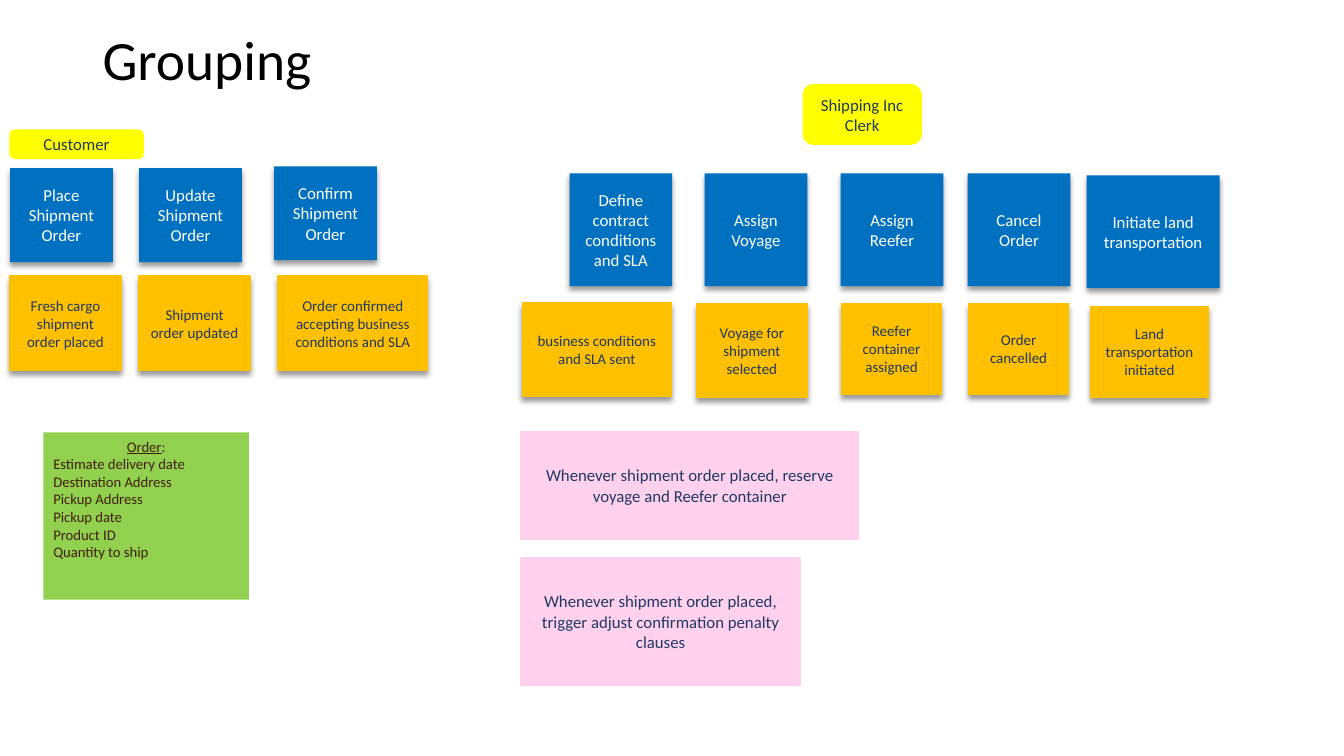
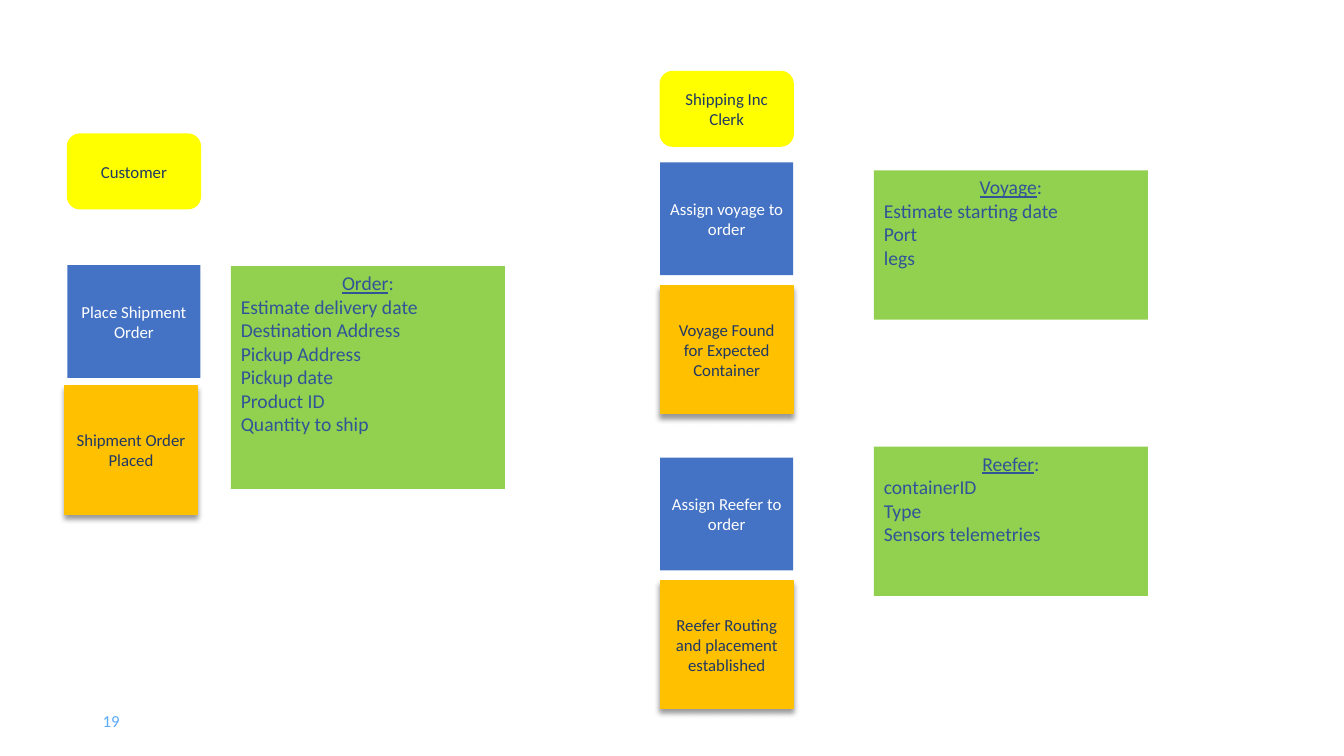
from dataclasses import dataclass

from lxml import etree
from pptx import Presentation
from pptx.dml.color import RGBColor
from pptx.enum.shapes import MSO_SHAPE as Preset
from pptx.enum.text import MSO_ANCHOR as Anchor, PP_ALIGN as Align
from pptx.oxml.ns import qn
from pptx.util import Pt

FONT = "Calibri"
BLACK = RGBColor(0x00, 0x00, 0x00)
WHITE = RGBColor(0xFF, 0xFF, 0xFF)
NAVY = RGBColor(0x20, 0x38, 0x64)
STEEL = RGBColor(0x2F, 0x55, 0x97)
BROWN = RGBColor(0x42, 0x1E, 0x06)
SKY = RGBColor(0x5A, 0xAA, 0xFA)
YELLOW = RGBColor(0xFF, 0xFF, 0x00)
ORANGE = RGBColor(0xFF, 0xC0, 0x00)
BLUE = RGBColor(0x00, 0x70, 0xC0)
INDIGO = RGBColor(0x44, 0x72, 0xC4)
PINK = RGBColor(0xFF, 0xD1, 0xEC)
GREEN = RGBColor(0x92, 0xD0, 0x50)


@dataclass(frozen=True)
class NoteStyle:
    fill: RGBColor
    color: RGBColor = NAVY
    size: float = 12
    outlined: bool = True
    shadowed: bool = False
    preset: int = Preset.RECTANGLE


ACTOR = NoteStyle(YELLOW, preset=Preset.ROUNDED_RECTANGLE)
POLICY = NoteStyle(PINK)
COMMAND = NoteStyle(BLUE, WHITE, outlined=False, shadowed=True)
PLAIN_COMMAND = NoteStyle(INDIGO, WHITE, outlined=False)
EVENT = NoteStyle(ORANGE, shadowed=True)
SMALL_EVENT = NoteStyle(ORANGE, size=10.7, shadowed=True)
ENTITY = NoteStyle(GREEN, STEEL, 14, outlined=False)
SMALL_ENTITY = NoteStyle(GREEN, BROWN, 10.5, outlined=False)

ORDER = ("Order", "Estimate delivery date", "Destination Address",
         "Pickup Address", "Pickup date", "Product ID", "Quantity to ship")
VOYAGE = ("Voyage", "Estimate starting date", "Port", "legs")
REEFER = ("Reefer", "containerID", "Type", "Sensors telemetries")


def add_run(paragraph, text, size, color, underline=None):
    run = paragraph.add_run()
    run.text = text
    run.font.name = FONT
    run.font.size = Pt(size)
    run.font.color.rgb = color
    run.font.underline = underline


def paragraphs(frame, count):
    """Yield the first paragraph of the frame, then new ones up to count."""
    yield frame.paragraphs[0]
    for _ in range(count - 1):
        yield frame.add_paragraph()


def add_text(slide, box, text, size, color, line_spacing=None):
    frame = slide.shapes.add_textbox(*map(Pt, box)).text_frame
    frame.word_wrap = True
    frame.vertical_anchor = Anchor.MIDDLE
    paragraph = frame.paragraphs[0]
    paragraph.line_spacing = line_spacing
    add_run(paragraph, text, size, color)


def drop_shadow(shape):
    effects = shape._element.spPr.find(qn("a:effectLst"))
    shadow = etree.SubElement(effects, qn("a:outerShdw"), blurRad=str(Pt(4)),
                              dist=str(Pt(3)), dir="5400000", rotWithShape="0")
    color = etree.SubElement(shadow, qn("a:srgbClr"), val=str(BLACK))
    etree.SubElement(color, qn("a:alpha"), val="40000")


def add_card(slide, box, style):
    """Add an empty sticky note and return its text frame."""
    shape = slide.shapes.add_shape(style.preset, *map(Pt, box))
    shape.fill.solid()
    shape.fill.fore_color.rgb = style.fill
    if style.outlined:
        shape.line.color.rgb = style.fill
        shape.line.width = Pt(1)
    else:
        shape.line.fill.background()
    shape.shadow.inherit = False
    if style.shadowed:
        drop_shadow(shape)
    shape.text_frame.word_wrap = True
    return shape.text_frame


def add_note(slide, box, text, style):
    frame = add_card(slide, box, style)
    frame.vertical_anchor = Anchor.MIDDLE
    lines = text.split("\n")
    for paragraph, line in zip(paragraphs(frame, len(lines)), lines):
        paragraph.alignment = Align.CENTER
        add_run(paragraph, line, style.size, style.color)


def add_entity(slide, box, entity, style):
    name, *fields = entity
    frame = add_card(slide, box, style)
    frame.vertical_anchor = Anchor.TOP
    heading, *rows = paragraphs(frame, len(entity))
    heading.alignment = Align.CENTER
    add_run(heading, name, style.size, style.color, underline=True)
    add_run(heading, ":", style.size, style.color)
    for paragraph, field in zip(rows, fields):
        paragraph.alignment = Align.LEFT
        add_run(paragraph, field, style.size, style.color)


def add_lane(slide, left, top, notes):
    """Place (x, y, width, height, text, style) notes relative to a corner."""
    for x, y, width, height, text, style in notes:
        add_note(slide, (left + x, top + y, width, height), text, style)


def add_step(slide, left, top, command, event, event_offset, entity, entity_box):
    """Add a command, its event below and its entity to the right."""
    event_x, event_y = event_offset
    x, y, width, height = entity_box
    add_note(slide, (left, top, 95, 80.6), command, PLAIN_COMMAND)
    add_note(slide, (left + event_x, top + event_y, 95, 91.4), event, EVENT)
    add_entity(slide, (left + x, top + y, width, height), entity, ENTITY)


def build_grouping(slide):
    add_text(slide, (66.2, 28.8, 828, 31.7), "Grouping", 39.6, BLACK, 0.9)
    add_lane(slide, 7.2, 92.9, (
        (0, 0, 95, 20.2, "Customer", ACTOR),
        (0, 27.3, 73.4, 67, "Place Shipment Order", COMMAND),
        (92.2, 27.3, 73.4, 67, "Update Shipment Order", COMMAND),
        (188.6, 25.9, 73.4, 67, "Confirm Shipment Order", COMMAND),
        (0, 104.4, 79.2, 67, "Fresh cargo shipment order placed", SMALL_EVENT),
        (92.2, 104.4, 79.2, 67, "Shipment order updated", SMALL_EVENT),
        (191.5, 104.4, 106.6, 67,
         "Order confirmed accepting business conditions and SLA", SMALL_EVENT),
    ))
    add_lane(slide, 372.6, 60.5, (
        (201.2, 0, 84.2, 42.5, "Shipping Inc Clerk", ACTOR),
        (34.2, 63.3, 73.4, 80.6, "Define contract conditions and SLA", COMMAND),
        (130.7, 63.3, 73.4, 80.6, "Assign\nVoyage", COMMAND),
        (227.9, 63.3, 73.4, 80.6, "Assign\nReefer", COMMAND),
        (318.6, 63.3, 73.4, 80.6, "Cancel\nOrder", COMMAND),
        (403.6, 64.8, 95, 80.6, "Initiate land transportation", COMMAND),
        (0.4, 155.5, 106.6, 67, "business conditions and SLA sent", SMALL_EVENT),
        (124.9, 156.2, 79.2, 67, "Voyage for shipment\nselected", SMALL_EVENT),
        (228.6, 156.2, 71.3, 64.8, "Reefer container assigned", SMALL_EVENT),
        (319.3, 156.2, 71.3, 64.8, "Order cancelled", SMALL_EVENT),
        (406.4, 158.4, 84.2, 64.8, "Land transportation initiated", SMALL_EVENT),
    ))
    add_lane(slide, 372.2, 308.2, (
        (0, 0, 241.2, 77,
         "Whenever shipment order placed, reserve voyage and Reefer container",
         POLICY),
        (0, 90, 199.4, 91.4,
         "Whenever shipment order placed, trigger adjust confirmation "
         "penalty clauses", POLICY),
    ))
    add_entity(slide, (31, 308.9, 146.9, 119.5), ORDER, SMALL_ENTITY)


def build_aggregates(slide):
    add_text(slide, (66.2, 500.4, 216, 28.8), "19", 12, SKY)
    add_note(slide, (48.2, 95.8, 95, 53.3), "Customer", ACTOR)
    add_step(slide, 48.2, 189.4, "Place Shipment Order",
             "Shipment Order Placed", (-2.1, 86.4),
             ORDER, (116.7, 0.7, 195.8, 159.1))
    add_note(slide, (471.6, 51.1, 95, 53.3), "Shipping Inc Clerk", ACTOR)
    add_step(slide, 471.6, 115.9, "Assign voyage to order",
             "Voyage Found for Expected Container", (0, 88.2),
             VOYAGE, (152.6, 5.8, 195.8, 106.6))
    add_step(slide, 471.6, 326.9, "Assign Reefer to order",
             "Reefer Routing and placement established", (0, 87.8),
             REEFER, (152.6, -7.9, 195.8, 106.6))


def main():
    presentation = Presentation()
    presentation.slide_width = Pt(960)
    presentation.slide_height = Pt(540)
    blank = presentation.slide_layouts[6]
    for build in (build_grouping, build_aggregates):
        build(presentation.slides.add_slide(blank))
    presentation.save("out.pptx")


if __name__ == "__main__":
    main()
